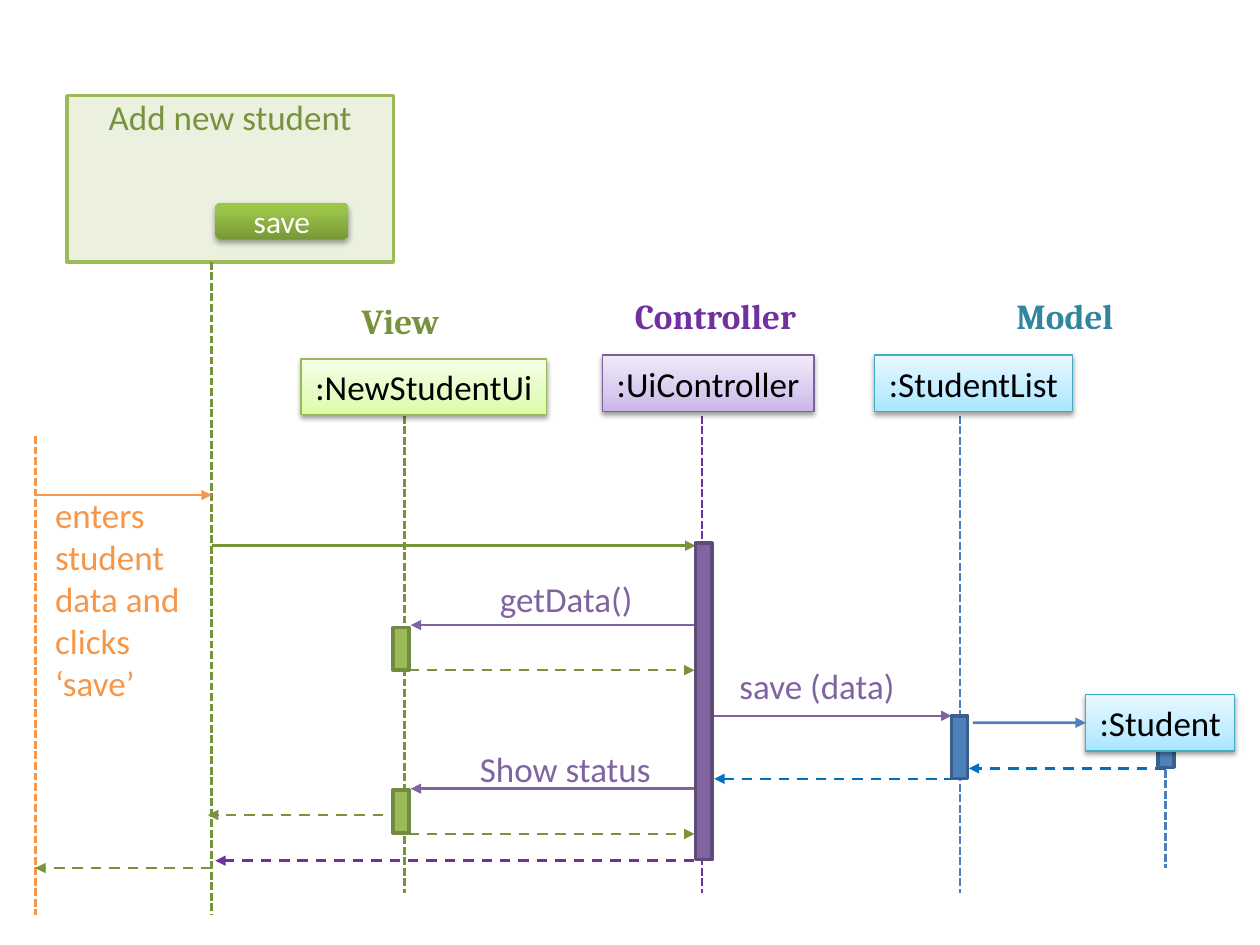
"""Build a sequence diagram of adding a student across view, controller and model."""
from copy import deepcopy

from lxml.etree import SubElement
from pptx import Presentation
from pptx.dml.color import RGBColor
from pptx.enum.dml import MSO_LINE
from pptx.enum.shapes import MSO_CONNECTOR, MSO_SHAPE
from pptx.enum.text import MSO_ANCHOR, MSO_AUTO_SIZE, PP_ALIGN
from pptx.oxml.ns import qn
from pptx.util import Cm, Pt

HUES = {
    "black": "000000", "white": "FFFFFF", "orange": "F79646",
    "leaf": "77933C", "green": "9BBB59", "moss": "738A42", "pale": "EBF1DE",
    "violet": "7030A0", "purple": "8064A2", "plum": "5F4A78",
    "blue": "4F81BD", "steel": "4B7EBC", "navy": "3A5F8C",
    "sky": "0070C0", "teal": "31859C",
    "lime edge": "98B955", "lilac edge": "7D60A0", "aqua edge": "46AAC5",
}
FADES = {
    "lime": ((0, "DAFDA7"), (0.35, "E4FCC2"), (1, "F5FFE7")),
    "lilac": ((0, "C9B5E8"), (0.35, "D8CBEE"), (1, "F0EAF9")),
    "aqua": ((0, "A7E6FF"), (0.35, "C1EDFF"), (1, "E7F8FF")),
    "button": ((0, "779737"), (0.8, "9BC348"), (1, "9DC746")),
}
BAR = 0.33


def hue(name):
    """Return the named colour."""
    return RGBColor.from_string(HUES[name])


def write(shape, text, tint, size=20, font="Calibri", align=PP_ALIGN.CENTER,
          anchor=MSO_ANCHOR.MIDDLE, wrap=True):
    """Put one styled paragraph into a shape."""
    frame = shape.text_frame
    frame.word_wrap = wrap
    frame.vertical_anchor = anchor
    par = frame.paragraphs[0]
    par.text = text
    par.alignment = align
    par.font.name = font
    par.font.size = Pt(size)
    par.font.color.rgb = hue(tint)
    return par


def block(slide, spot, edge=None, fill=None, width=2, kind=MSO_SHAPE.RECTANGLE):
    """Add a flat shape with an optional fill and outline."""
    shape = slide.shapes.add_shape(kind, *map(Cm, spot))
    shape.shadow.inherit = False
    if fill:
        shape.fill.solid()
        shape.fill.fore_color.rgb = hue(fill)
    if edge:
        shape.line.color.rgb = hue(edge)
        shape.line.width = Pt(width)
    else:
        shape.line.fill.background()
    return shape


def shade(shape, fade, alpha=38, drop=1.6):
    """Give a shape a three-stop vertical gradient and a soft shadow."""
    shape.fill.gradient()
    shape.fill.gradient_angle = 90
    props = shape._element.spPr
    stops = props.find(qn("a:gradFill")).find(qn("a:gsLst"))
    stops.append(deepcopy(stops[0]))
    for stop, (place, tint) in zip(shape.fill.gradient_stops, FADES[fade]):
        stop.position = place
        stop.color.rgb = RGBColor.from_string(tint)
    glow = SubElement(props.find(qn("a:effectLst")), qn("a:outerShdw"),
                      blurRad=str(Pt(3.1)), dist=str(Pt(drop)),
                      dir="5400000", rotWithShape="0")
    tone = SubElement(glow, qn("a:srgbClr"), val=HUES["black"])
    SubElement(tone, qn("a:alpha"), val=str(alpha * 1000))


def actor(slide, text, spot, fade):
    """Add a labelled object box."""
    shape = block(slide, spot, fade + " edge", width=0.75)
    shade(shape, fade)
    write(shape, text, "black", wrap=False)
    return shape


def label(slide, text, spot, tint, **style):
    """Add a text box."""
    box = slide.shapes.add_textbox(*map(Cm, spot))
    par = write(box, text, tint, **style)
    box.text_frame.auto_size = MSO_AUTO_SIZE.SHAPE_TO_FIT_TEXT
    return par


def stroke(slide, ends, tint, dash=None):
    """Add a straight line."""
    line = slide.shapes.add_connector(MSO_CONNECTOR.STRAIGHT, *map(Cm, ends))
    line.line.color.rgb = hue(tint)
    line.line.width = Pt(1.5)
    if dash:
        line.line.dash_style = dash
    SubElement(line._element.spPr, qn("a:effectLst"))
    return line


def arrow(slide, start, end, top, tint, dash=None):
    """Add a level message arrow that points at its end."""
    line = stroke(slide, (start, top, end, top), tint, dash)
    edge = line._element.spPr.find(qn("a:ln"))
    SubElement(edge, qn("a:tailEnd"), type="triangle")
    return line


def screen(slide):
    """Add the input form with its button."""
    form = block(slide, (1.35, 1.93, 6.58, 3.35), "green", "pale")
    form.text_frame.margin_top = 0
    write(form, "Add new student", "leaf", anchor=MSO_ANCHOR.TOP)
    button = block(slide, (4.34, 4.09, 2.69, 0.74),
                   kind=MSO_SHAPE.ROUNDED_RECTANGLE)
    shade(button, "button", 35, 1.8)
    write(button, "save", "white", size=18)


def main():
    """Build and save the slide."""
    deck = Presentation()
    deck.slide_width, deck.slide_height = Cm(25.4), Cm(19.05)
    slide = deck.slides.add_slide(deck.slide_layouts[6])
    user, form, view, control, store, pupil = 0.71, 4.27, 8.15, 14.15, 19.35, 23.5
    screen(slide)

    for left, top, end, tint in (
            (user, 8.79, 18.44, "orange"), (form, 5.28, 18.44, "leaf"),
            (view, 8.38, 18.01, "leaf"), (control, 8.38, 18.01, "violet"),
            (store, 8.38, 18.01, "steel"), (pupil, 14.88, 17.5, "steel")):
        stroke(slide, (left, top, left, end), tint, MSO_LINE.SQUARE_DOT)

    for start, end, top, tint in (
            (user, form, 9.98, "orange"), (form, 14.02, 11, "leaf"),
            (14, 8.28, 12.6, "purple"), (14.4, 19.18, 14.43, "purple"),
            (14, 8.28, 15.9, "purple")):
        arrow(slide, start, end, top, tint)

    for start, end, top, tint in (
            (8.23, 14, 13.51, "leaf"), (pupil, 19.53, 15.49, "sky"),
            (19.25, 14.4, 15.7, "sky"), (8.1, 4.19, 16.43, "leaf"),
            (8.23, 14, 16.81, "leaf"), (14, 4.34, 17.35, "violet"),
            (form, user, 17.5, "leaf")):
        arrow(slide, start, end, top, tint, MSO_LINE.DASH)

    for left, top, tall, fill, edge in (
            (14.02, 10.95, 6.38, "purple", "plum"),
            (7.92, 12.65, 0.86, "green", "moss"),
            (7.92, 15.93, 0.86, "green", "moss"),
            (19.18, 14.43, 1.27, "blue", "navy"),
            (23.34, 15.11, 0.36, "blue", "navy")):
        block(slide, (left, top, BAR, tall), edge, fill)

    actor(slide, ":NewStudentUi", (6.07, 7.24, 4.95, 1.12), "lime")
    actor(slide, ":UiController", (12.14, 7.16, 4.27, 1.14), "lilac")
    actor(slide, ":StudentList", (17.63, 7.16, 3.99, 1.14), "aqua")
    child = actor(slide, ":Student", (21.89, 14, 3, 1.14), "aqua")
    arrow(slide, 19.61, 21.89, 14.57, "blue").end_connect(child, 1)

    for text, left, top, wide, tint in (
            ("View", 7.04, 5.89, 2.34, "leaf"),
            ("Controller", 12.55, 5.79, 3.94, "violet"),
            ("Model", 20.24, 5.79, 2.69, "teal")):
        par = label(slide, text, (left, top, wide, 1.12), tint, font="Cambria",
                    align=PP_ALIGN.LEFT, anchor=MSO_ANCHOR.BOTTOM)
        par.font.bold = True

    for text, left, top, wide in (
            ("getData()", 9.8, 11.51, 3.23), ("save (data)", 14.63, 13.26, 3.68),
            ("Show status", 9.4, 14.94, 3.99)):
        label(slide, text, (left, top, wide, 1.12), "purple", wrap=False)
    label(slide, "enters student data and clicks ‘save’",
          (0.86, 9.8, 3.45, 4.52), "orange", align=PP_ALIGN.LEFT)
    deck.save("out.pptx")


if __name__ == "__main__":
    main()
